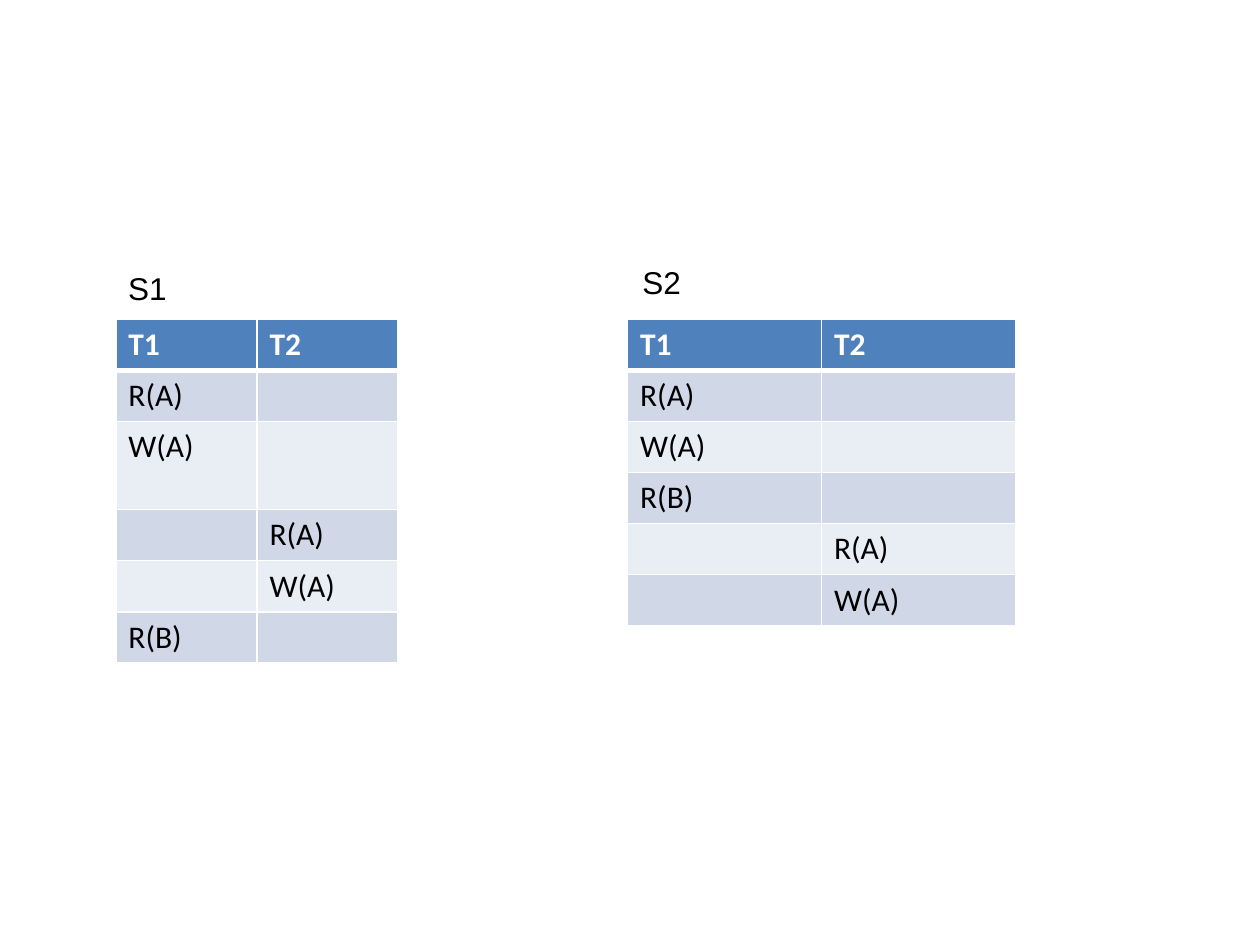
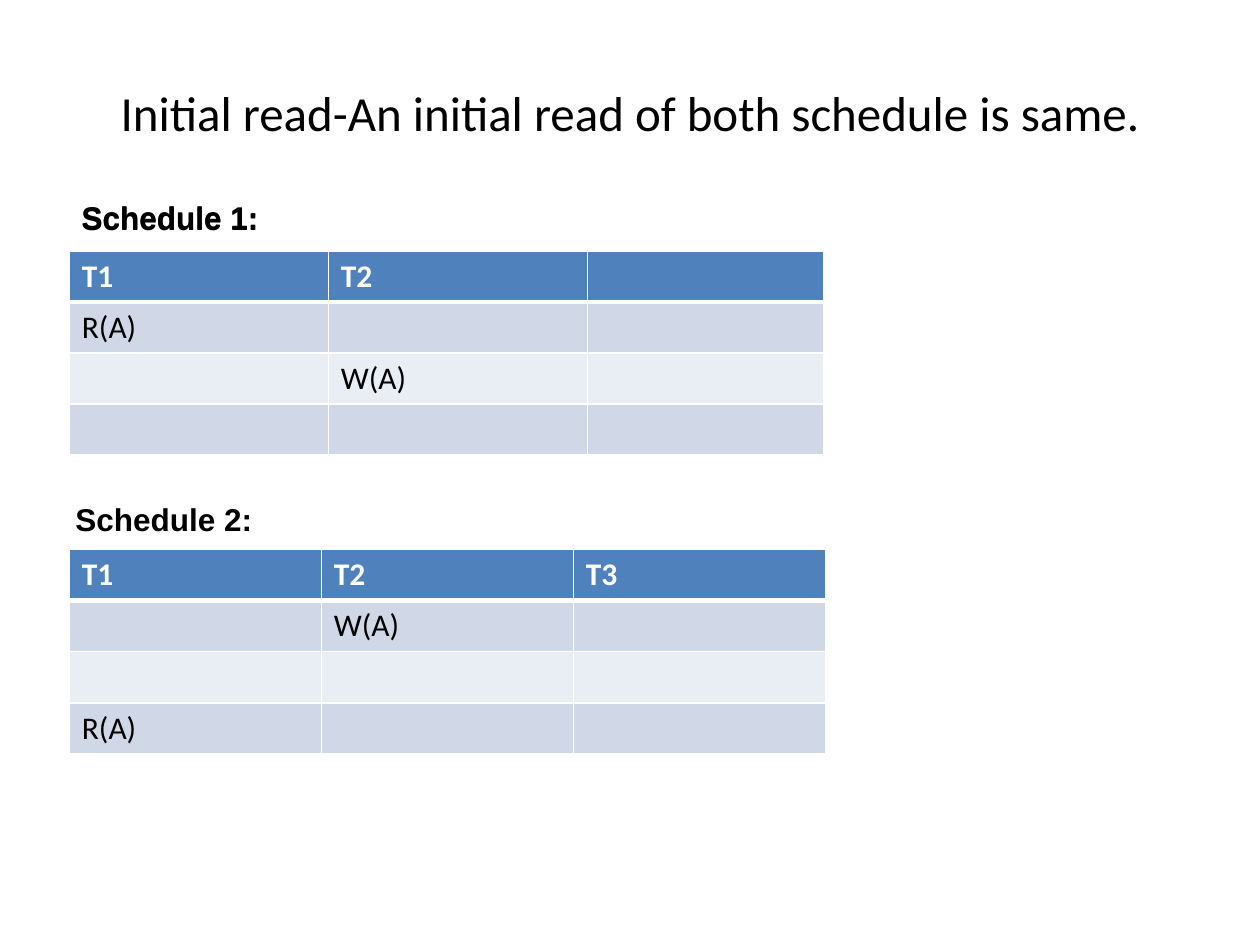
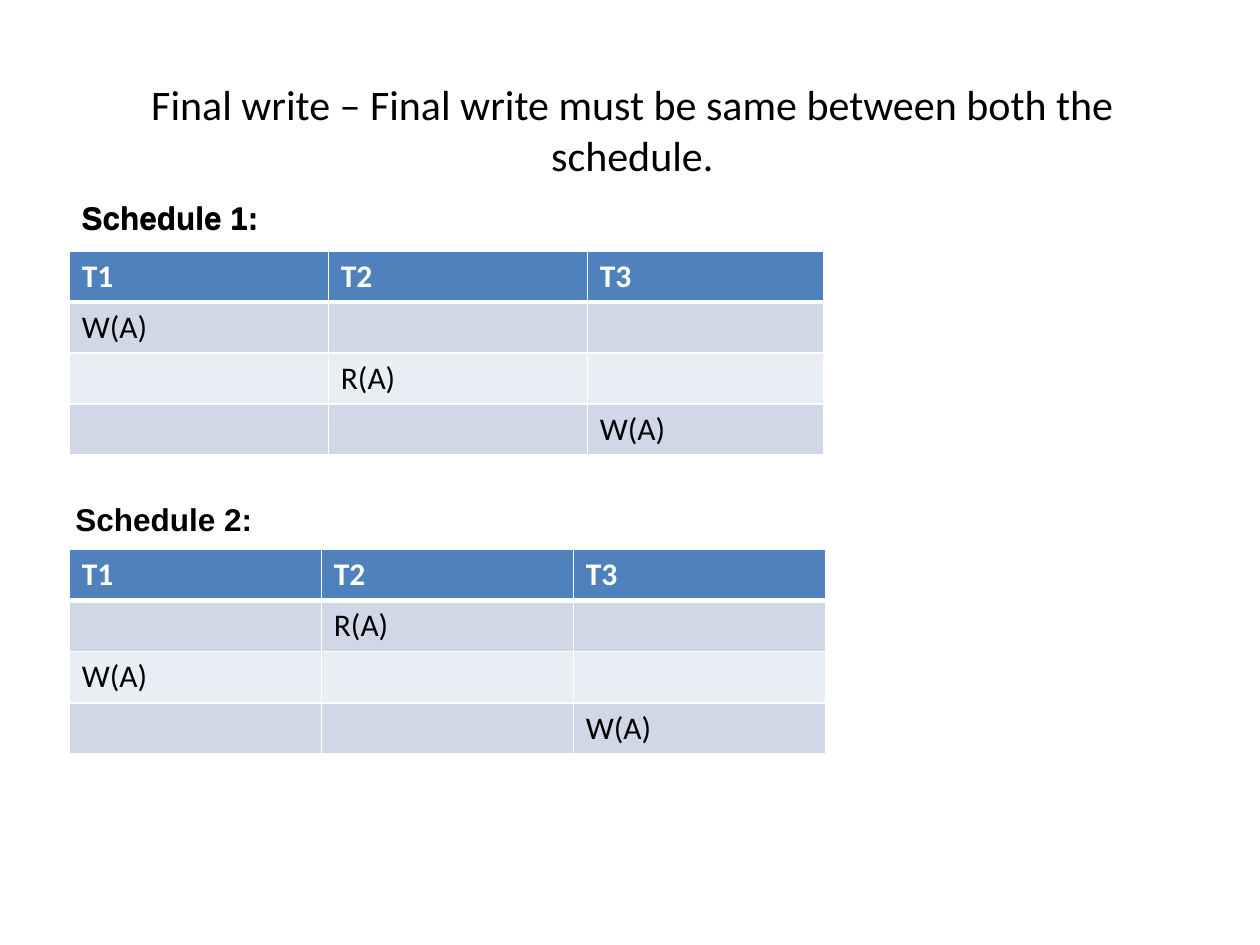
from pptx import Presentation
from pptx.dml.color import RGBColor as RGB
from pptx.enum.text import MSO_ANCHOR as Anchor, PP_ALIGN as Align
from pptx.oxml import parse_xml
from pptx.oxml.ns import nsdecls
from pptx.util import Pt

INK = {"text": "000000", "head": "4F81BD", "odd": "D0D8E8",
       "even": "E9EDF4", "line": "FFFFFF"}
ROW = 29.2


def add_text(slide, text, box, size=18, face="Arial", bold=False):
    frame = slide.shapes.add_textbox(*map(Pt, box)).text_frame
    frame.word_wrap = True
    para = frame.paragraphs[0]
    para.text = text
    para.font.size, para.font.name, para.font.bold = Pt(size), face, bold
    para.font.color.rgb = RGB.from_string(INK["text"])
    return frame


def add_grid(slide, left, top, cols, rows, tall={}):
    highs = [tall.get(r, ROW) for r in range(len(rows))]
    grid = slide.shapes.add_table(len(rows), len(cols), Pt(left), Pt(top),
                                  Pt(sum(cols)), Pt(sum(highs))).table
    for col, wide in zip(grid.columns, cols):
        col.width = Pt(wide)
    for r, row in enumerate(rows):
        grid.rows[r].height = Pt(highs[r])
        tone = "head" if r == 0 else "odd" if r % 2 else "even"
        for c, text in enumerate(row):
            cell = grid.cell(r, c)
            # The rule under the header is thicker than the others
            for side in "LRTB":
                thick = (r, side) in ((0, "B"), (1, "T"))
                cell._tc.get_or_add_tcPr().append(parse_xml(
                    f'<a:ln{side} {nsdecls("a")} w="{Pt(3 if thick else 1)}">'
                    f'<a:solidFill><a:srgbClr val="{INK["line"]}"/></a:solidFill>'
                    f'</a:ln{side}>'))
            cell.fill.solid()
            cell.fill.fore_color.rgb = RGB.from_string(INK[tone])
            para = cell.text_frame.paragraphs[0]
            para.text = text
            font = para.font
            font.size, font.name, font.bold = Pt(18), "Calibri", r == 0
            font.color.rgb = RGB.from_string(INK["text" if r else "line"])


deck = Presentation()
deck.slide_width, deck.slide_height = Pt(720), Pt(540)
blank = deck.slide_layouts[6]

# Slide 1: two schedules side by side
slide = deck.slides.add_slide(blank)
add_grid(slide, 66.2, 182.4, [80.7] * 2,
         [("T1", "T2"), ("R(A)", ""), ("W(A)", ""), ("", "R(A)"),
          ("", "W(A)"), ("R(B)", "")], {2: 50.4})
add_grid(slide, 358.6, 182.4, [110.8] * 2,
         [("T1", "T2"), ("R(A)", ""), ("W(A)", ""), ("R(B)", ""),
          ("", "R(A)"), ("", "W(A)")])
add_text(slide, "S1", (66.2, 150, 42, 29))
add_text(slide, "S2", (360, 146.6, 42, 29))

# Slides 2 and 3: a rule, with two schedules stacked below it
rules = [
    ("Initial read-An initial read of both schedule is same.", 28, (36, 18.7),
     [("T1", "T2", ""), ("R(A)", "", ""), ("", "W(A)", ""), ("", "", "")],
     [("T1", "T2", "T3"), ("", "W(A)", ""), ("", "", ""), ("R(A)", "", "")]),
    ("Final write – Final write must be same between both the schedule.",
     24, (37.4, 28.8),
     [("T1", "T2", "T3"), ("W(A)", "", ""), ("", "R(A)", ""), ("", "", "W(A)")],
     [("T1", "T2", "T3"), ("", "R(A)", ""), ("W(A)", "", ""), ("", "", "W(A)")]),
]
for title, size, spot, first, second in rules:
    slide = deck.slides.add_slide(blank)
    head = add_text(slide, title, (*spot, 648, 90), size, "Calibri")
    head.vertical_anchor = Anchor.MIDDLE
    head.paragraphs[0].alignment = Align.CENTER
    add_grid(slide, 39.6, 143.3, [148, 148, 135], first)
    add_grid(slide, 39.6, 314, [144] * 3, second)
    add_text(slide, "Schedule 2:", (36, 282.2, 516, 29), bold=True)
    # The first label is doubled, which makes it look heavier
    for top in (110.2, 109.4):
        add_text(slide, "Schedule 1:", (39.6, top, 289, 51), bold=True)

deck.save("out.pptx")
